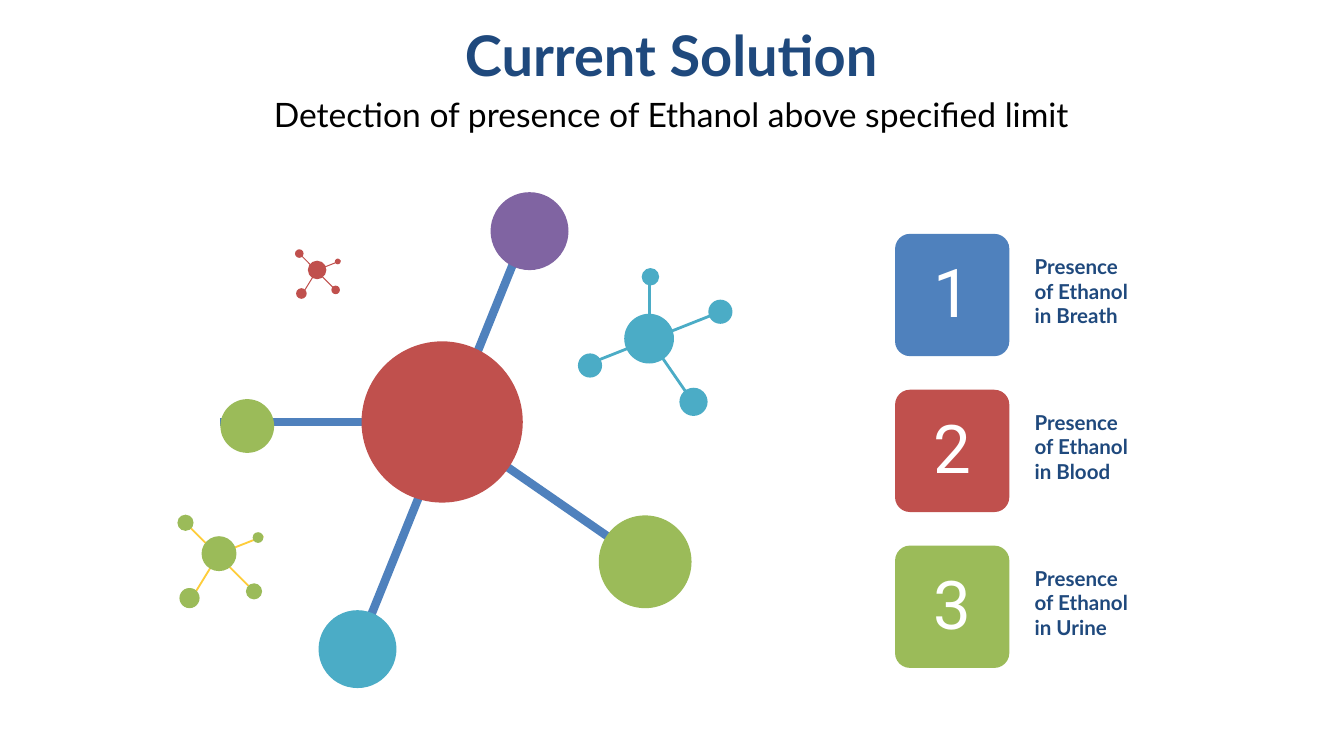
from dataclasses import dataclass

from lxml.etree import SubElement
from pptx import Presentation
from pptx.dml.color import RGBColor
from pptx.enum.shapes import MSO_CONNECTOR, MSO_SHAPE
from pptx.enum.text import MSO_ANCHOR, MSO_AUTO_SIZE, PP_ALIGN
from pptx.oxml.ns import qn
from pptx.util import Inches, Pt

NAVY = RGBColor(0x1F, 0x49, 0x7D)
BLUE = RGBColor(0x4F, 0x81, 0xBD)
RED = RGBColor(0xC0, 0x50, 0x4D)
GREEN = RGBColor(0x9B, 0xBB, 0x59)
PURPLE = RGBColor(0x80, 0x64, 0xA2)
TEAL = RGBColor(0x4B, 0xAC, 0xC6)
YELLOW = RGBColor(0xFE, 0xCD, 0x3A)
BLACK = RGBColor(0, 0, 0)
WHITE = RGBColor(0xFF, 0xFF, 0xFF)


@dataclass
class Molecule:
    """Lengths in inches from the top left of the molecule's box."""
    width: float
    bond_points: float
    bonds: list  # x1, y1, x2, y2
    atoms: list  # centre x, centre y, diameter; the hub comes first


MAIN = Molecule(
    3.54, 4.5,
    [(1.08, 3.29, 2.32, 0.22), (3.01, 2.69, 1.65, 1.75), (0, 1.75, 1.65, 1.75)],
    [(1.65, 1.75, 1.2), (2.3, 0.33, 0.58), (3.16, 2.79, 0.69),
     (1.02, 3.44, 0.58), (0.2, 1.78, 0.4)])
MEDIUM = Molecule(
    1.16, 1.5,
    [(1.02, 0.34, 0.06, 0.72), (0.83, 0.94, 0.54, 0.52), (0.54, 0, 0.54, 0.52)],
    [(0.54, 0.52, 0.37), (0.1, 0.72, 0.18), (0.87, 0.99, 0.21),
     (1.07, 0.32, 0.18), (0.55, 0.06, 0.13)])
SMALL = Molecule(
    0.66, 1,
    [(0.06, 0.06, 0.56, 0.56), (0.13, 0.61, 0.32, 0.3), (0.32, 0.3, 0.65, 0.17)],
    [(0.32, 0.3, 0.26), (0.07, 0.07, 0.12), (0.1, 0.63, 0.15),
     (0.58, 0.58, 0.12), (0.61, 0.18, 0.08)])


def set_text(shape, text, font_name, size, color, bold=False, align=PP_ALIGN.LEFT):
    shape.text_frame.text = text
    paragraph = shape.text_frame.paragraphs[0]
    paragraph.alignment = align
    font = paragraph.font
    font.name, font.size, font.bold = font_name, Pt(size), bold
    font.color.rgb = color


def add_filled(slide, preset, left, top, width, height, color):
    shape = slide.shapes.add_shape(
        preset, Inches(left), Inches(top), Inches(width), Inches(height))
    shape.shadow.inherit = False
    shape.fill.solid()
    shape.fill.fore_color.rgb = color
    shape.line.fill.background()
    return shape


def add_label(slide, left, top, width, height):
    label = slide.shapes.add_textbox(
        Inches(left), Inches(top), Inches(width), Inches(height))
    label.text_frame.word_wrap = True
    return label


def add_heading(slide, left, top, width):
    # Title, centred over the subtitle
    title = slide.shapes.title
    title_width = 3.29
    title.left, title.top = Inches(left + (width - title_width) / 2), Inches(top)
    title.width, title.height = Inches(title_width), Inches(0.6)
    frame = title.text_frame
    frame.word_wrap = False
    frame.auto_size = MSO_AUTO_SIZE.NONE
    frame.vertical_anchor = MSO_ANCHOR.TOP
    set_text(title, "Current Solution", "Lato", 30, NAVY, True, PP_ALIGN.CENTER)
    # Subtitle
    subtitle = add_label(slide, left, top + 0.55, width, 0.4)
    set_text(subtitle, "Detection of presence of Ethanol above specified limit",
             "Lato", 18, BLACK, align=PP_ALIGN.CENTER)


def add_molecule(slide, molecule, left, top, width, bond_color, atom_colors):
    scale = width / molecule.width
    # Bonds lie behind the atoms
    for x1, y1, x2, y2 in molecule.bonds:
        bond = slide.shapes.add_connector(
            MSO_CONNECTOR.STRAIGHT,
            Inches(left + x1 * scale), Inches(top + y1 * scale),
            Inches(left + x2 * scale), Inches(top + y2 * scale))
        bond.line.color.rgb = bond_color
        bond.line.width = Pt(molecule.bond_points * scale)
        SubElement(bond._element.spPr, qn("a:effectLst"))
    # Hub and outer atoms
    for (x, y, diameter), color in zip(molecule.atoms, atom_colors):
        size = diameter * scale
        add_filled(slide, MSO_SHAPE.OVAL, left + x * scale - size / 2,
                   top + y * scale - size / 2, size, size, color)


def add_test_card(slide, left, top, number, test, color):
    # Numbered tile
    tile = add_filled(slide, MSO_SHAPE.ROUNDED_RECTANGLE, left, top, 0.85, 0.91, color)
    tile.adjustments[0] = 0.13
    tile.text_frame.margin_top = 0
    tile.text_frame.margin_bottom = Inches(0.06)
    tile.text_frame.vertical_anchor = MSO_ANCHOR.MIDDLE
    set_text(tile, str(number), "Roboto", 36, WHITE, align=PP_ALIGN.CENTER)
    # Test description
    description = add_label(slide, left + 0.94, top + 0.1, 0.98, 0.65)
    set_text(description, test, "Lato", 11, NAVY, True)


def main():
    prs = Presentation()
    prs.slide_width = Inches(10)
    prs.slide_height = prs.slide_width * 9 // 16
    slide = prs.slides.add_slide(prs.slide_layouts[5])

    add_heading(slide, 1.09, 0.1, 7.81)

    add_molecule(slide, MAIN, 1.64, 1.39, 3.54, BLUE, [RED, PURPLE, GREEN, TEAL, GREEN])
    add_molecule(slide, MEDIUM, 4.29, 2, 1.16, TEAL, [TEAL] * 5)
    add_molecule(slide, SMALL, 1.31, 3.82, 0.66, YELLOW, [GREEN] * 5)
    add_molecule(slide, SMALL, 2.19, 1.85, 0.35, RED, [RED] * 5)

    tests = [("Breath", BLUE), ("Blood", RED), ("Urine", GREEN)]
    for index, (sample, color) in enumerate(tests):
        add_test_card(slide, 6.66, 1.74 + index * 1.16, index + 1,
                      f"Presence of Ethanol in {sample}", color)

    prs.save("out.pptx")


if __name__ == "__main__":
    main()
